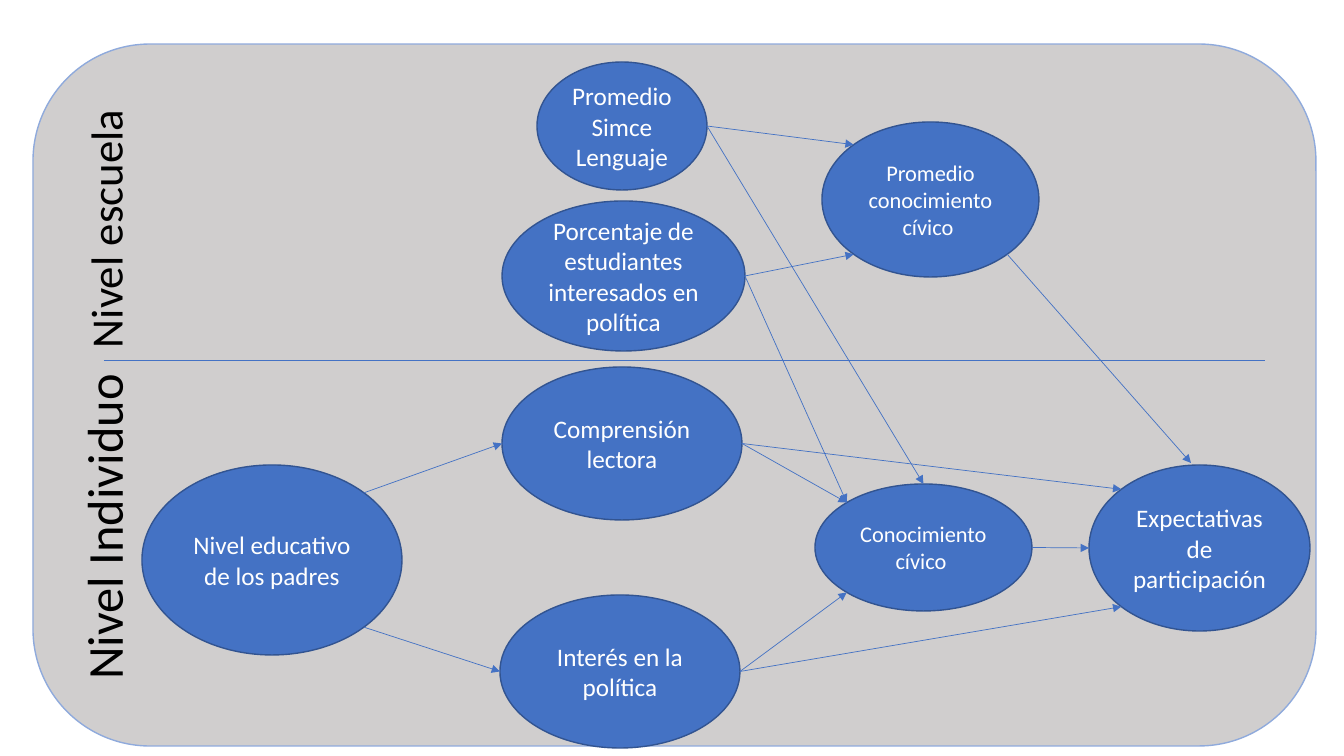
import math
from dataclasses import dataclass

import pptx
import pptx.dml.color
import pptx.enum.shapes
import pptx.enum.text
import pptx.oxml.ns
import pptx.util
from lxml import etree

SCALE = 914400 / 100.8
SHAPES = pptx.enum.shapes.MSO_SHAPE
ALIGN = pptx.enum.text.PP_ALIGN
ANCHOR = pptx.enum.text.MSO_ANCHOR


@dataclass
class Theme:
    font: str = "Calibri"
    panel: str = "D0CECE"
    panel_edge: str = "8FAADC"
    node: str = "4472C4"
    node_edge: str = "325491"
    label: str = "000000"
    node_text: str = "FFFFFF"
    school_size: int = 32
    person_size: int = 36
    node_size: int = 18
    small_size: int = 16
    edge_width: float = 1
    arrow_width: float = 0.5


def emu(*pixels):
    return [pptx.util.Emu(round(value * SCALE)) for value in pixels]


def color(value):
    return pptx.dml.color.RGBColor.from_string(value)


class Page:
    def __init__(self, slide, theme):
        self.slide = slide
        self.theme = theme

    def add_text(self, box, text, size, ink, align):
        para = box.text_frame.paragraphs[0]
        para.alignment = align
        span = para.add_run()
        span.text = text
        span.font.name = self.theme.font
        span.font.size = pptx.util.Pt(size)
        span.font.color.rgb = color(ink)

    def shape(self, kind, bounds, fill, edge):
        shape = self.slide.shapes.add_shape(kind, *emu(*bounds))
        shape.shadow.inherit = False
        shape.fill.solid()
        shape.fill.fore_color.rgb = color(fill)
        shape.line.color.rgb = color(edge)
        shape.line.width = pptx.util.Pt(self.theme.edge_width)
        return shape

    def node(self, bounds, text, size):
        theme = self.theme
        oval = self.shape(SHAPES.OVAL, bounds, theme.node, theme.node_edge)
        oval.text_frame.word_wrap = True
        oval.text_frame.vertical_anchor = ANCHOR.MIDDLE
        self.add_text(oval, text, size, theme.node_text, ALIGN.CENTER)

    def side_label(self, bounds, text, size):
        box = self.slide.shapes.add_textbox(*emu(*bounds))
        box.rotation = 270
        box.text_frame.word_wrap = True
        box.text_frame.auto_size = pptx.enum.text.MSO_AUTO_SIZE.SHAPE_TO_FIT_TEXT
        self.add_text(box, text, size, self.theme.label, ALIGN.LEFT)

    def line(self, start, end, arrow=False):
        line = self.slide.shapes.add_connector(
            pptx.enum.shapes.MSO_CONNECTOR.STRAIGHT, *emu(*start, *end))
        line.line.color.rgb = color(self.theme.node)
        line.line.width = pptx.util.Pt(self.theme.arrow_width)
        properties = line._element.spPr
        if arrow:
            stroke = properties.find(pptx.oxml.ns.qn("a:ln"))
            tail = etree.SubElement(stroke, pptx.oxml.ns.qn("a:tailEnd"))
            tail.set("type", "triangle")
        etree.SubElement(properties, pptx.oxml.ns.qn("a:effectLst"))


def rim(bounds, degrees):
    left, top, width, height = bounds
    angle = math.radians(degrees)
    return (left + width / 2 * (1 + math.cos(angle)),
            top + height / 2 * (1 + math.sin(angle)))


RIGHT, LOWER_RIGHT, LOWER_LEFT, LEFT, UPPER_LEFT, TOP, UPPER_RIGHT = 0, 45, 135, 180, 225, 270, 315

theme = Theme()
big, small = theme.node_size, theme.small_size
nodes = {
    "expectations": ((1089, 465, 221, 166), "Expectativas de participación", big),
    "reading": ((502, 367, 240, 153), "Comprensión lectora", big),
    "knowledge": ((815, 484, 217, 127), "Conocimiento cívico ", small),
    "interest": ((500, 595, 240, 153), "Interés en la política", big),
    "parents": ((142, 465, 260, 190), "Nivel educativo de los padres", big),
    "simce": ((537, 62, 170, 128), "Promedio Simce Lenguaje", big),
    "interested_share": ((502, 201, 243, 150),
                         "Porcentaje de estudiantes interesados en política", big),
    "mean_knowledge": ((822, 122, 217, 155), "Promedio conocimiento cívico ", small),
}
arrows = [
    ("reading", RIGHT, "expectations", UPPER_LEFT),
    ("interest", RIGHT, "expectations", LOWER_LEFT),
    ("knowledge", RIGHT, "expectations", LEFT),
    ("parents", UPPER_RIGHT, "reading", LEFT),
    ("parents", LOWER_RIGHT, "interest", LEFT),
    ("reading", RIGHT, "knowledge", UPPER_LEFT),
    ("interest", RIGHT, "knowledge", LOWER_LEFT),
    ("interested_share", RIGHT, "mean_knowledge", LOWER_LEFT),
    ("interested_share", RIGHT, "knowledge", UPPER_LEFT),
    ("simce", RIGHT, "knowledge", TOP),
    ("simce", RIGHT, "mean_knowledge", UPPER_LEFT),
]

deck = pptx.Presentation()
deck.slide_width, deck.slide_height = emu(1344, 756)
page = Page(deck.slides.add_slide(deck.slide_layouts[6]), theme)

page.shape(SHAPES.ROUNDED_RECTANGLE, (33, 44, 1283, 702), theme.panel, theme.panel_edge)
page.line((104, 360), (1265, 360))
page.side_label((-59, 161, 329, 65), "Nivel escuela ", theme.school_size)
page.side_label((-81, 469, 369, 72), "Nivel Individuo", theme.person_size)
for bounds, text, size in nodes.values():
    page.node(bounds, text, size)
for source, source_side, target, target_side in arrows:
    page.line(rim(nodes[source][0], source_side), rim(nodes[target][0], target_side), arrow=True)
page.line(rim(nodes["mean_knowledge"][0], LOWER_RIGHT), (1191, 463), arrow=True)

deck.save("out.pptx")
